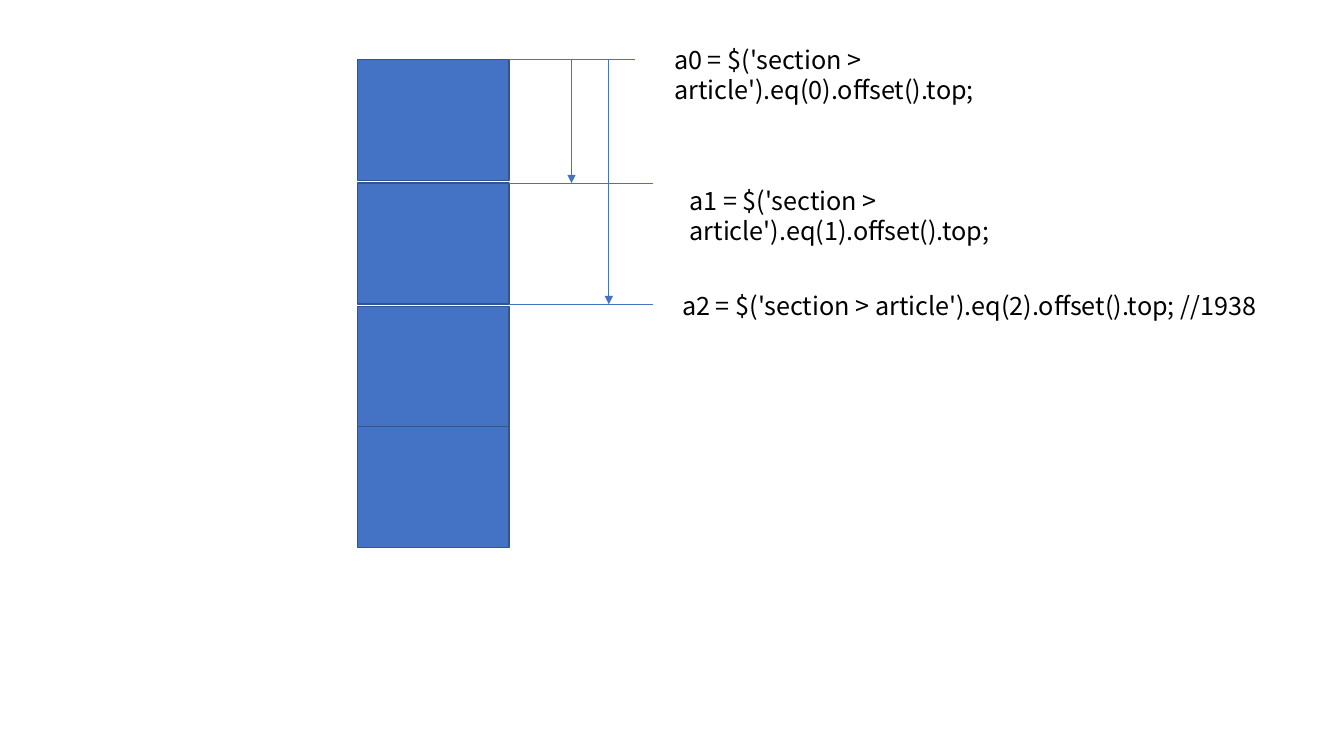
from pptx import Presentation
from pptx.dml.color import RGBColor
from pptx.enum.shapes import MSO_CONNECTOR, MSO_SHAPE
from pptx.enum.text import MSO_AUTO_SIZE
from pptx.oxml.ns import qn
from pptx.util import Pt
from lxml.etree import SubElement


def paint(part, color):
    part.rgb = RGBColor.from_string(color)


def write(frame, text, size=18, font="Noto Sans CJK KR", color="000000"):
    run = frame.paragraphs[0].add_run()
    run.text = text
    run.font.size = Pt(size)
    run.font.name = font
    paint(run.font.color, color)


class Board:
    blue = "4472C4"
    edge = "325491"

    def __init__(self, slide):
        self.shapes = slide.shapes

    def block(self, x, y, w, h):
        box = self.shapes.add_shape(MSO_SHAPE.RECTANGLE, Pt(x), Pt(y), Pt(w), Pt(h))
        box.shadow.inherit = False
        box.fill.solid()
        paint(box.fill.fore_color, self.blue)
        box.line.width = Pt(1)
        paint(box.line.color, self.edge)

    def line(self, x1, y1, x2, y2, arrow=False):
        rule = self.shapes.add_connector(
            MSO_CONNECTOR.STRAIGHT, Pt(x1), Pt(y1), Pt(x2), Pt(y2))
        rule.line.width = Pt(0.5)
        paint(rule.line.color, self.blue)
        if arrow:
            SubElement(rule.line._get_or_add_ln(), qn("a:tailEnd"), type="triangle")
        SubElement(rule._element.spPr, qn("a:effectLst"))

    def label(self, x, y, w, text):
        box = self.shapes.add_textbox(Pt(x), Pt(y), Pt(w), Pt(29))
        frame = box.text_frame
        frame.word_wrap = True
        frame.auto_size = MSO_AUTO_SIZE.SHAPE_TO_FIT_TEXT
        write(frame, text)


def main():
    deck = Presentation()
    deck.slide_width, deck.slide_height = Pt(960), Pt(540)
    board = Board(deck.slides.add_slide(deck.slide_layouts[6]))

    left, wide, high = 255.6, 108, 86.4
    for top in (42.7, 130.8, 218.9, 304.8):
        board.block(left, top, wide, high)

    marks = (42.7, 130.8, 217.3)
    for y, end in zip(marks, (453.6, 466.6, 466.6)):
        board.line(left + wide, y, end, y)
    for x, y in zip((408.2, 434.9), marks[1:]):
        board.line(x, marks[0], x, y, arrow=True)

    notes = ((474.5, 28.1, 364, ""), (485.5, 128.9, 364, ""),
             (480.2, 203.8, 425, " //1938"))
    for i, (x, y, w, tail) in enumerate(notes):
        board.label(x, y, w, f"a{i} = $('section > article').eq({i}).offset().top;{tail}")

    deck.save("out.pptx")


if __name__ == "__main__":
    main()
